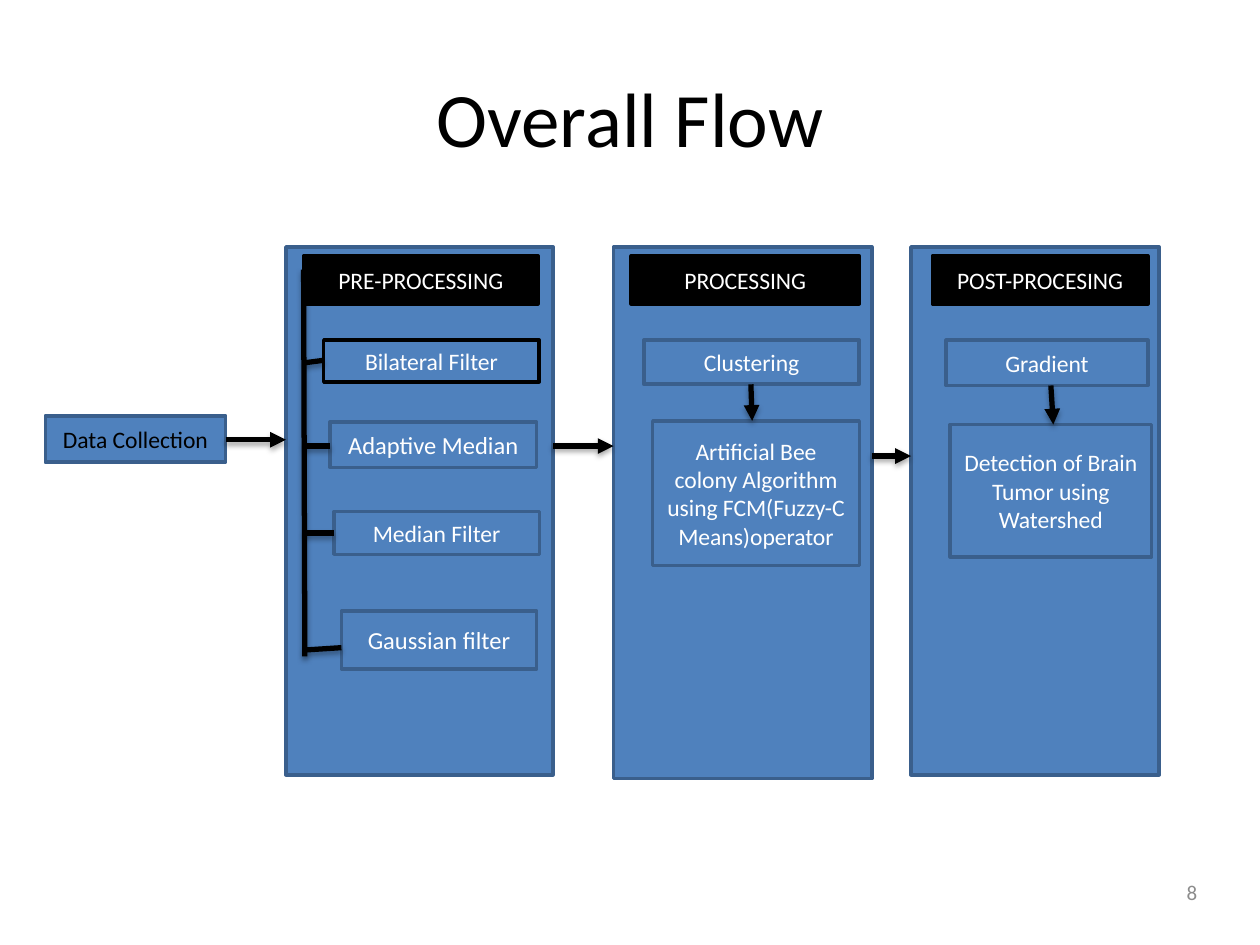
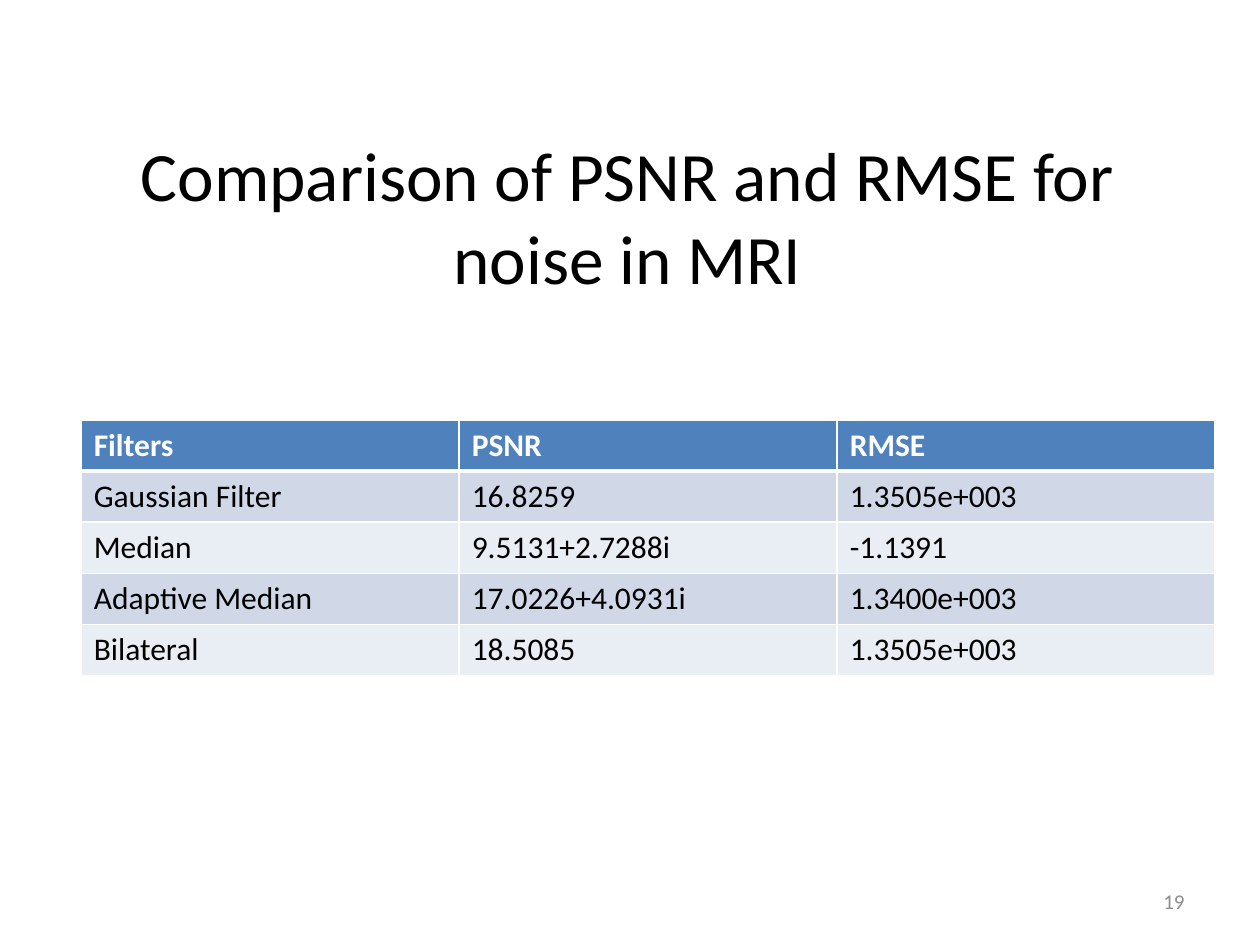
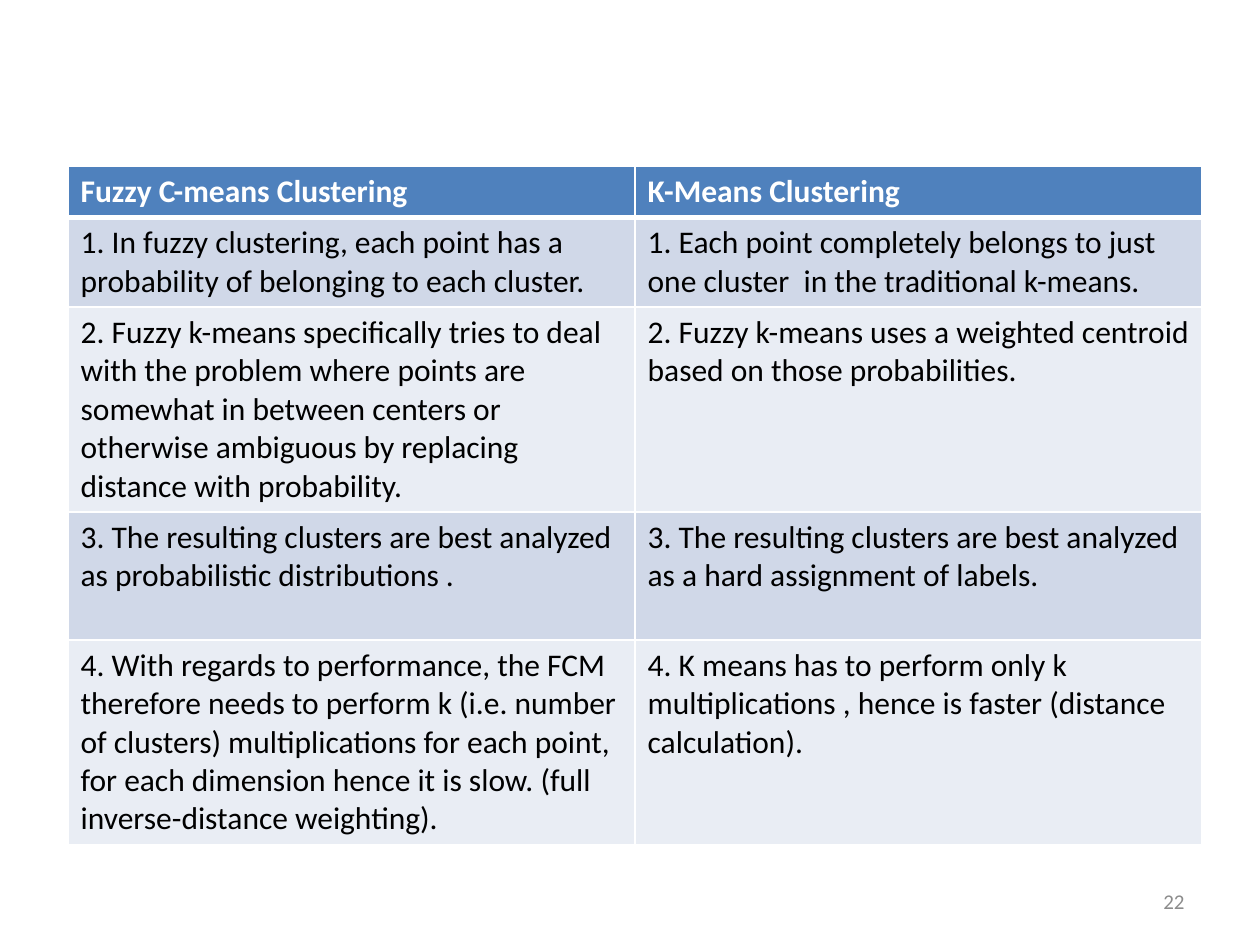
from dataclasses import dataclass
from itertools import pairwise

from lxml import etree
from pptx import Presentation
from pptx import slide as sl
from pptx.dml import color as dml
from pptx.enum import shapes, text
from pptx.oxml import ns
from pptx.text import text as tx
from pptx.util import Pt

LEFT, MID, RIGHT = text.PP_ALIGN.LEFT, text.PP_ALIGN.CENTER, text.PP_ALIGN.RIGHT


@dataclass(frozen=True)
class Theme:
    font: str = "Calibri"
    black: str = "000000"
    white: str = "FFFFFF"
    blue: str = "4F81BD"
    edge: str = "3A5F8C"
    gray: str = "8C8C8C"
    bands: tuple[str, str] = ("D0D8E8", "E9EDF4")
    title: float = 44
    small: float = 39.6
    cell: float = 18
    label: float = 13.5
    page: float = 12
    line: float = 2
    arrow: float = 3


THEME = Theme()


@dataclass(frozen=True)
class Box:
    x: float
    y: float
    w: float
    h: float
    words: str = ""
    fill: str = THEME.blue
    edge: str = THEME.edge
    ink: str = THEME.white
    size: float = THEME.label

    @property
    def right(self) -> float:
        return self.x + self.w

    @property
    def base(self) -> float:
        return self.y + self.h


@dataclass(frozen=True)
class Line:
    x1: float
    y1: float
    x2: float
    y2: float
    head: bool = False


def head_box(x: float, w: float, words: str) -> Box:
    return Box(x, 146.2, w, 27.4, words, THEME.black, THEME.black)


# Flow chart parts
DATA = Box(25.9, 237.6, 103, 26.6, "Data Collection", ink=THEME.black)
PANELS = [
    Box(163.4, 141.1, 152.6, 301.7),
    Box(350.6, 141.1, 147.6, 303.8),
    Box(520.6, 141.1, 141.8, 301.7),
]
HEADS = [
    head_box(173.5, 133.9, "PRE-PROCESSING"),
    head_box(360.7, 130.3, "PROCESSING"),
    head_box(532.8, 123.1, "POST-PROCESING"),
]
FILTERS = [
    Box(185, 194.4, 123.1, 23.8, "Bilateral Filter", edge=THEME.black),
    Box(188.6, 241.2, 118.1, 25.9, "Adaptive Median", size=14),
    Box(190.8, 292.3, 117.4, 24.5, "Median Filter"),
    Box(195.1, 349.2, 111.6, 33.1, "Gaussian filter", size=14),
]
CLUSTER = Box(367.9, 194.4, 123.1, 25.2, "Clustering")
BEES = Box(373, 240.5, 118.1, 82.8,
           "Artificial Bee colony Algorithm using FCM(Fuzzy-C Means)operator")
GRADE = Box(540.7, 194.4, 115.2, 25.9, "Gradient")
DETECT = Box(542.9, 242.6, 115.2, 75.6,
             "Detection of Brain Tumor using Watershed")

# Left and right heights of the branch to each filter
BRANCHES = [(207.4, 205.9), (254.9, 254.9), (304.6, 304.6), (371.5, 370.1)]
SPINE = 173.5

# Table parts
SCORES = [
    ("Filters", "PSNR", "RMSE"),
    ("Gaussian Filter", "16.8259", "1.3505e+003"),
    ("Median", "9.5131+2.7288i", "-1.1391"),
    ("Adaptive Median", "17.0226+4.0931i", "1.3400e+003"),
    ("Bilateral", "18.5085", "1.3505e+003"),
]
MEANS = [
    ("Fuzzy C-means Clustering", "K-Means Clustering"),
    ("1. In fuzzy clustering, each point has a probability of belonging to "
     "each cluster.",
     "1. Each point completely belongs to just one cluster  in the "
     "traditional k-means."),
    ("2. Fuzzy k-means specifically tries to deal with the problem where "
     "points are somewhat in between centers or otherwise ambiguous by "
     "replacing distance with probability.",
     "2. Fuzzy k-means uses a weighted centroid based on those "
     "probabilities."),
    ("3. The resulting clusters are best analyzed as probabilistic "
     "distributions .",
     "3. The resulting clusters are best analyzed as a hard assignment of "
     "labels."),
    ("4. With regards to performance, the FCM therefore needs to perform k "
     "(i.e. number of clusters) multiplications for each point, for each "
     "dimension hence it is slow. (full inverse-distance weighting).",
     "4. K means has to perform only k multiplications , hence is faster "
     "(distance calculation)."),
]


def rgb(code: str) -> dml.RGBColor:
    return dml.RGBColor.from_string(code)


def write(frame: tx.TextFrame, words: str, *, size: float,
          ink: str = THEME.black, bold: bool = False,
          align: text.PP_ALIGN = MID) -> None:
    """Put one formatted paragraph in a frame."""
    frame.word_wrap = True
    para = frame.paragraphs[0]
    para.alignment = align
    run = para.add_run()
    run.text = words
    run.font.name = THEME.font
    run.font.size = Pt(size)
    run.font.bold = bold
    run.font.color.rgb = rgb(ink)


def add_text(page: sl.Slide, x: float, y: float, w: float, h: float,
             words: str, **form) -> None:
    frame = page.shapes.add_textbox(Pt(x), Pt(y), Pt(w), Pt(h)).text_frame
    frame.vertical_anchor = text.MSO_ANCHOR.MIDDLE
    write(frame, words, **form)


def add_title(page: sl.Slide, x: float, y: float, words: str,
              size: float) -> None:
    add_text(page, x, y, 648, 90, words, size=size)


def add_page(page: sl.Slide, count: int, x: float = 516.2,
             y: float = 500.4) -> None:
    add_text(page, x, y, 167.8, 28.8, str(count), size=THEME.page,
             ink=THEME.gray, align=RIGHT)


def add_box(page: sl.Slide, box: Box) -> None:
    shape = page.shapes.add_shape(shapes.MSO_SHAPE.RECTANGLE, Pt(box.x),
                                  Pt(box.y), Pt(box.w), Pt(box.h))
    shape.shadow.inherit = False
    shape.fill.solid()
    shape.fill.fore_color.rgb = rgb(box.fill)
    shape.line.color.rgb = rgb(box.edge)
    shape.line.width = Pt(THEME.line)
    if box.words:
        shape.text_frame.vertical_anchor = text.MSO_ANCHOR.MIDDLE
        write(shape.text_frame, box.words, size=box.size, ink=box.ink)


def add_node(root: etree._Element, tag: str, **traits) -> etree._Element:
    return etree.SubElement(root, ns.qn(tag),
                            {key: str(val) for key, val in traits.items()})


def add_line(page: sl.Slide, line: Line) -> None:
    link = page.shapes.add_connector(
        shapes.MSO_CONNECTOR.STRAIGHT,
        Pt(line.x1), Pt(line.y1), Pt(line.x2), Pt(line.y2))
    link.line.color.rgb = rgb(THEME.black)
    link.line.width = Pt(THEME.arrow)
    if line.head:
        add_node(link.line._get_or_add_ln(), "a:tailEnd", type="triangle")
    # Soft shadow straight below the line
    glow = add_node(link._element.spPr, "a:effectLst")
    shade = add_node(glow, "a:outerShdw", blurRad=Pt(3.1), dist=Pt(1.8),
                     dir=5400000, rotWithShape=0)
    tint = add_node(shade, "a:srgbClr", val=THEME.black)
    add_node(tint, "a:alpha", val=35000)


def add_grid(page: sl.Slide, x: float, y: float, rows: list[tuple[str, ...]],
             highs: list[float]) -> None:
    wide = len(rows[0])
    grid = page.shapes.add_table(len(rows), wide, Pt(x), Pt(y), Pt(648),
                                 Pt(sum(highs))).table
    for col in grid.columns:
        col.width = Pt(648 / wide)
    for i, (row, high) in enumerate(zip(rows, highs)):
        grid.rows[i].height = Pt(high)
        top = i == 0
        for j, words in enumerate(row):
            cell = grid.cell(i, j)
            props = cell._tc.get_or_add_tcPr()
            for side in "LRTB":
                thick = (top and side == "B") or (i == 1 and side == "T")
                rule = add_node(props, f"a:ln{side}", w=Pt(3 if thick else 1))
                add_node(add_node(rule, "a:solidFill"), "a:srgbClr",
                         val=THEME.white)
            cell.fill.solid()
            cell.fill.fore_color.rgb = rgb(
                THEME.blue if top else THEME.bands[(i - 1) % 2])
            write(cell.text_frame, words, size=THEME.cell, bold=top,
                  ink=THEME.white if top else THEME.black, align=LEFT)


def draw_flow(page: sl.Slide) -> None:
    add_title(page, 36, 21.6, "Overall Flow", THEME.title)
    for box in [DATA, *PANELS, *HEADS, *FILTERS, CLUSTER, BEES, GRADE, DETECT]:
        add_box(page, box)
    # Arrows from stage to stage
    for (a, b), y in zip(pairwise([DATA, *PANELS]), (251.3, 254.9, 260.6)):
        add_line(page, Line(a.right, y, b.x, y, True))
    # Spine with a branch to each filter
    add_line(page, Line(SPINE, 154.1, SPINE + 0.7, 375.1))
    for box, (y1, y2) in zip(FILTERS, BRANCHES):
        add_line(page, Line(SPINE, y1, box.x, y2))
    # Arrows from step to step
    for a, b, x1, x2 in [(CLUSTER, BEES, 429.1, 429.8),
                         (GRADE, DETECT, 600.5, 601.9)]:
        add_line(page, Line(x1, a.base, x2, b.y, True))
    add_page(page, 8, 523.4, 495.4)


def draw_scores(page: sl.Slide) -> None:
    add_title(page, 34.6, 77.8, "Comparison of PSNR and RMSE for noise in MRI",
              THEME.small)
    add_grid(page, 46.4, 240, SCORES, [29.2] * len(SCORES))
    add_page(page, 19)


def draw_means(page: sl.Slide) -> None:
    add_grid(page, 38.9, 95, MEANS, [29.2, 51.2, 117, 73.2, 117])
    add_page(page, 22)


def main() -> None:
    deck = Presentation()
    deck.slide_width, deck.slide_height = Pt(720), Pt(540)
    for draw in (draw_flow, draw_scores, draw_means):
        draw(deck.slides.add_slide(deck.slide_layouts[6]))
    deck.save("out.pptx")


if __name__ == "__main__":
    main()
